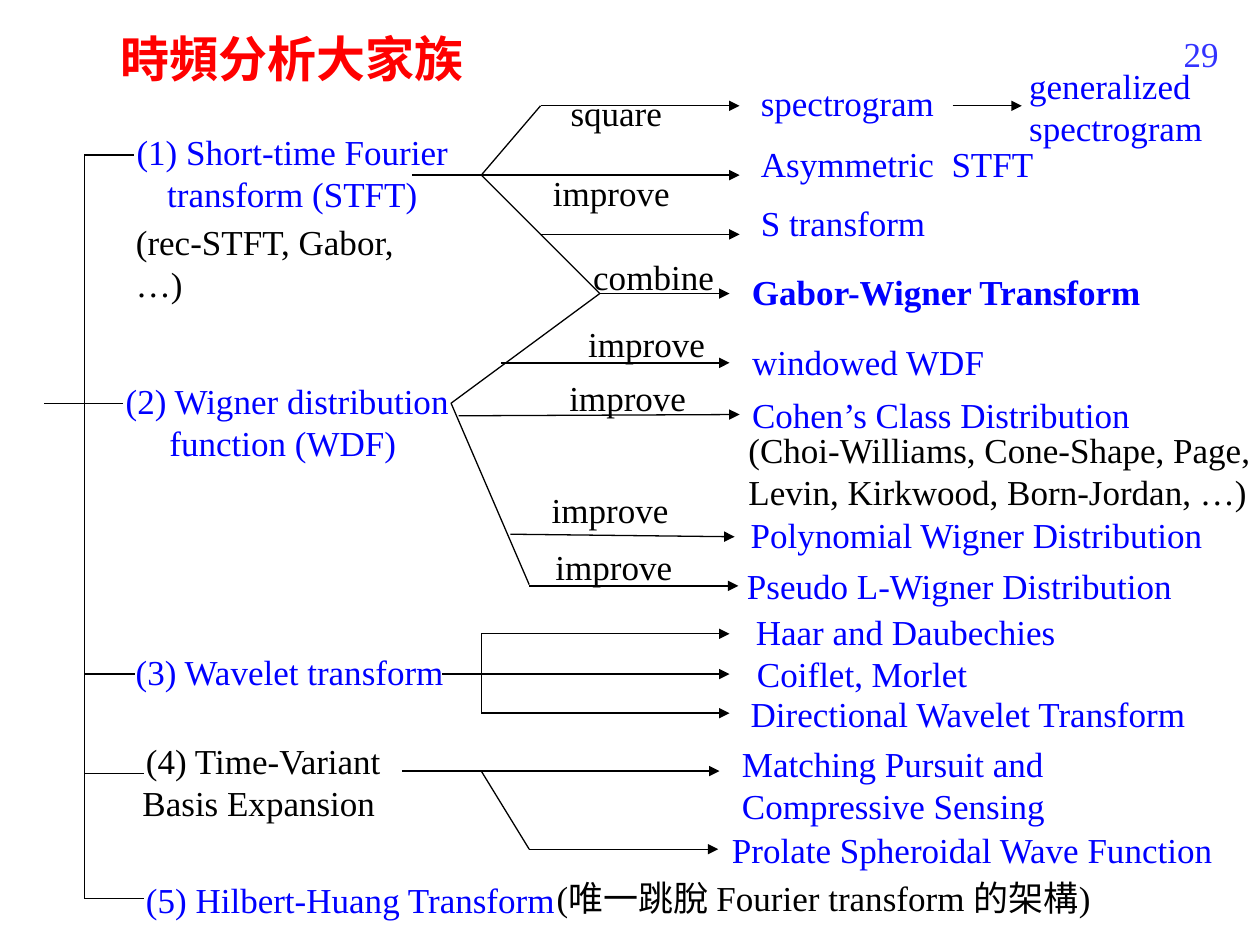
from dataclasses import dataclass

import lxml.etree
import pptx
import pptx.dml.color
import pptx.enum.shapes
import pptx.enum.text
import pptx.oxml.ns
import pptx.util

EMU_PER_PX = 9144  # 100 px to the inch
LINE_HEIGHT = 43
TWO_LINES = 77
TRUNK_X = 67
FORK_X = 382
ALIGN = pptx.enum.text.PP_ALIGN


@dataclass(frozen=True)
class Theme:
    blue: str = "0000FF"
    black: str = "000000"
    red: str = "FF0000"
    number_blue: str = "3333FF"
    body_size: int = 20
    title_size: int = 28
    line_width: float = 0.75
    body_font: str = "Times New Roman"
    chinese_font: str = "Noto Sans CJK SC"


THEME = Theme()


@dataclass(frozen=True)
class Label:
    text: str
    left: int
    top: int
    width: int
    height: int = LINE_HEIGHT
    color: str = THEME.blue
    size: int = THEME.body_size
    font: str = THEME.body_font
    bold: bool = False
    align: ALIGN = ALIGN.LEFT
    side_inset: int = 10


@dataclass(frozen=True)
class Line:
    x1: int
    y1: int
    x2: int
    y2: int
    arrow: bool = False


HEADER = [
    Label("29", 744, 21, 233, 52, color=THEME.number_blue, align=ALIGN.RIGHT),
    Label("時頻分析大家族", 86, 18, 327, 57, color=THEME.red,
          size=THEME.title_size, font=THEME.chinese_font, bold=True),
]

FAMILIES = [
    Label("(1) Short-time Fourier transform (STFT)", 98, 99, 268, TWO_LINES, align=ALIGN.CENTER),
    Label("(rec-STFT, Gabor, …)", 98, 170, 268, TWO_LINES, color=THEME.black),
    Label("(2) Wigner distribution function (WDF) ", 86, 296, 284, TWO_LINES, align=ALIGN.CENTER),
    Label("(3) Wavelet transform", 96, 511, 268, align=ALIGN.CENTER),
    Label("(4) Time-Variant Basis Expansion ", 91, 582, 236, TWO_LINES,
          color=THEME.black, align=ALIGN.CENTER),
    Label("(5) Hilbert-Huang Transform", 106, 692, 362),
    Label("(唯一跳脫 Fourier transform 的架構)", 432, 691, 504, color=THEME.black),
]

MEMBERS = [
    Label("spectrogram", 594, 60, 173),
    Label("generalized spectrogram", 807, 46, 173, TWO_LINES),
    Label("Asymmetric  STFT", 594, 108, 339),
    Label("S transform", 594, 155, 173),
    Label("Gabor-Wigner Transform", 587, 210, 347, bold=True),
    Label("windowed WDF", 587, 265, 252),
    Label("Cohen’s Class Distribution", 587, 307, 331),
    Label("(Choi-Williams, Cone-Shape, Page, Levin, Kirkwood, Born-Jordan, …)",
          594, 335, 406, TWO_LINES, color=THEME.black, side_inset=0),
    Label("Polynomial Wigner Distribution", 586, 403, 386),
    Label("Pseudo L-Wigner Distribution", 583, 443, 386),
    Label("Haar and Daubechies", 590, 480, 323),
    Label("Coiflet, Morlet", 591, 513, 220),
    Label("Directional Wavelet Transform", 586, 545, 386),
    Label("Matching Pursuit and \nCompressive Sensing", 579, 584, 299, TWO_LINES),
    Label("Prolate Spheroidal Wave Function", 581, 653, 386, side_inset=0),
]

# Words above the arrows: text, left, top
RELATIONS = [
    Label(text, left, top, 126, color=THEME.black)
    for text, left, top in [
        ("square", 443, 68), ("improve", 429, 131), ("combine", 461, 198),
        ("improve", 457, 251), ("improve", 442, 294), ("improve", 428, 383),
        ("improve", 431, 428),
    ]
]

# Trunk with one branch to each family
TRUNK = [Line(TRUNK_X, 123, TRUNK_X, 713), Line(35, 320, 98, 320)] + [
    Line(TRUNK_X, y, end, y)
    for y, end in [(123, 106), (535, 107), (614, 114), (713, 114)]
]

# Forks from each family to its members
FORKS = [
    Line(FORK_X, 139, 429, 84),
    Line(FORK_X, 139, 476, 233),
    Line(358, 320, 476, 233),
    Line(358, 320, 420, 464),
    Line(FORK_X, 503, FORK_X, 566),
    Line(FORK_X, 612, 420, 674),
]

# Arrows to the members: start x, start y, end x, end y
ARROWS = [
    Line(*ends, arrow=True)
    for ends in [
        (429, 84, 587, 84), (756, 84, 811, 84), (327, 139, 587, 139),
        (429, 186, 587, 186), (476, 233, 579, 233), (398, 288, 579, 288),
        (364, 330, 587, 329), (405, 424, 583, 426), (420, 465, 586, 465),
        (FORK_X, 503, 579, 503), (351, 535, 579, 535), (FORK_X, 566, 579, 566),
        (319, 612, 571, 612), (420, 674, 570, 674),
    ]
]


def px(length: int) -> pptx.util.Emu:
    return pptx.util.Emu(length * EMU_PER_PX)


def add_child(parent, tag: str, **attributes: str) -> None:
    lxml.etree.SubElement(parent, pptx.oxml.ns.qn(tag), **attributes)


def draw_label(slide, label: Label) -> None:
    shape = slide.shapes.add_textbox(
        px(label.left), px(label.top), px(label.width), px(label.height))
    frame = shape.text_frame
    frame.word_wrap = True
    frame.auto_size = pptx.enum.text.MSO_AUTO_SIZE.SHAPE_TO_FIT_TEXT
    frame.margin_left = frame.margin_right = px(label.side_inset)
    frame.margin_top = frame.margin_bottom = px(5)
    paragraph = frame.paragraphs[0]
    paragraph.alignment = label.align
    for index, text in enumerate(label.text.split("\n")):
        if index:
            paragraph.add_line_break()
        run = paragraph.add_run()
        run.text = text
        run.font.name = label.font
        run.font.size = pptx.util.Pt(label.size)
        run.font.bold = label.bold
        run.font.color.rgb = pptx.dml.color.RGBColor.from_string(label.color)
        add_child(run.font._element, "a:ea", typeface=THEME.chinese_font)


def draw_line(slide, line: Line) -> None:
    connector = slide.shapes.add_connector(
        pptx.enum.shapes.MSO_CONNECTOR.STRAIGHT,
        px(line.x1), px(line.y1), px(line.x2), px(line.y2))
    connector.line.width = pptx.util.Pt(THEME.line_width)
    connector.line.color.rgb = pptx.dml.color.RGBColor.from_string(THEME.black)
    if line.arrow:
        add_child(connector.line._get_or_add_ln(), "a:tailEnd", type="triangle")
    add_child(connector._element.spPr, "a:effectLst")


def main() -> None:
    presentation = pptx.Presentation()
    presentation.slide_width = px(1000)
    presentation.slide_height = px(750)
    slide = presentation.slides.add_slide(presentation.slide_layouts[6])
    for line in TRUNK + FORKS + ARROWS:
        draw_line(slide, line)
    for label in HEADER + FAMILIES + RELATIONS + MEMBERS:
        draw_label(slide, label)
    presentation.save("out.pptx")


if __name__ == "__main__":
    main()
